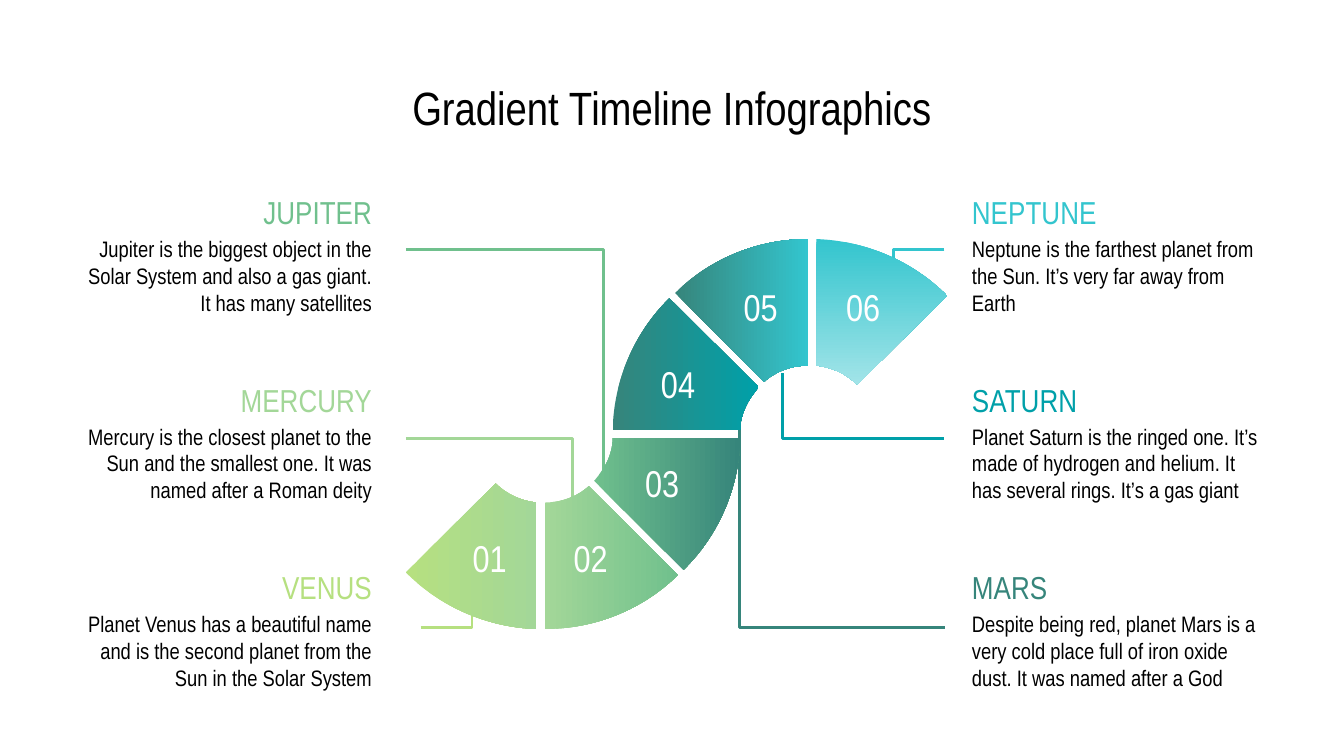
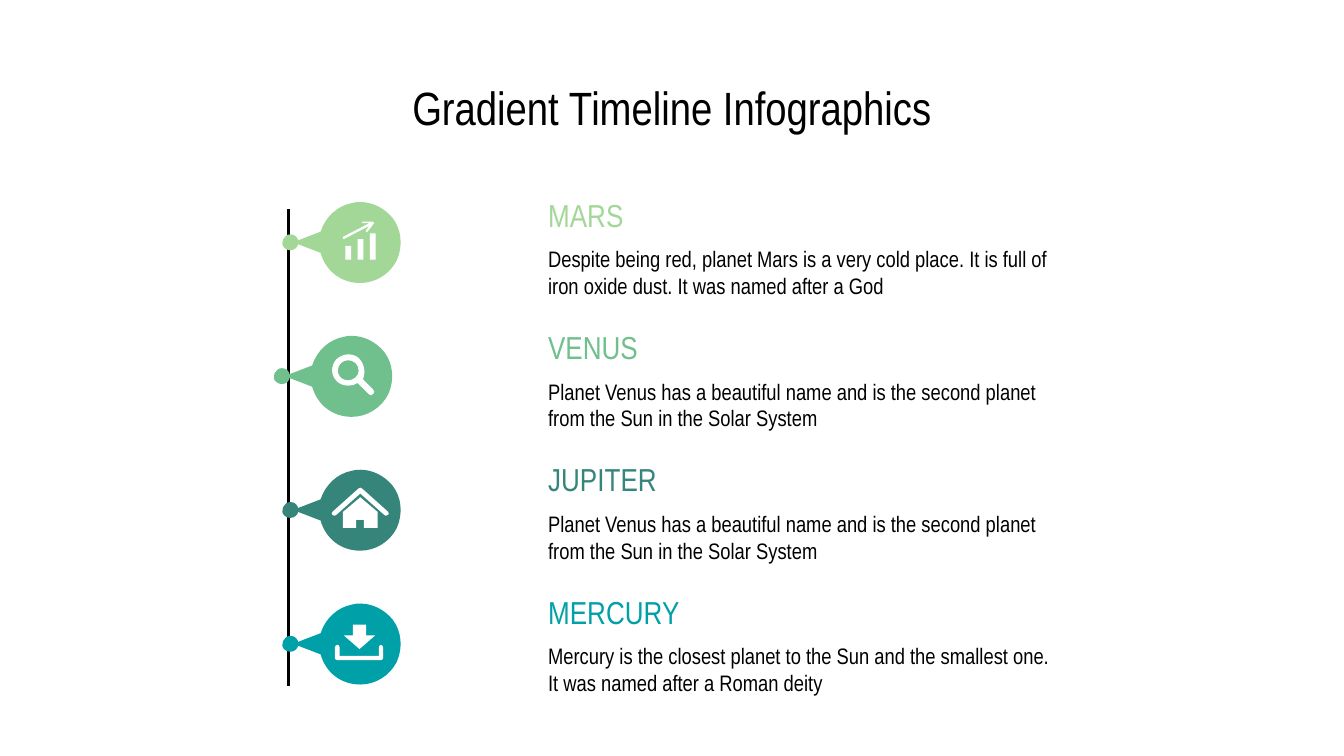
import lxml.etree
import pptx
import pptx.dml.color
import pptx.enum.shapes
import pptx.enum.text
import pptx.oxml.ns
import pptx.util

Cm = pptx.util.Cm
Pt = pptx.util.Pt
qn = pptx.oxml.ns.qn
rgb = pptx.dml.color.RGBColor.from_string
SHAPE = pptx.enum.shapes.MSO_SHAPE
CONNECTOR = pptx.enum.shapes.MSO_CONNECTOR
ALIGN = pptx.enum.text.PP_ALIGN
ANCHOR = pptx.enum.text.MSO_ANCHOR

FONT = "Arial Narrow"
BLACK, WHITE = "000000", "FFFFFF"
LIME, SAGE, GREEN = "B6E080", "A3D798", "70C08D"
PINE, TEAL, CYAN, ICE = "36857B", "00A0A9", "33C5CE", "A2E4E8"


def text(s, words, x, y, w, h, size=12, color=BLACK, align=ALIGN.LEFT, anchor=ANCHOR.TOP):
    tf = s.shapes.add_textbox(Cm(x), Cm(y), Cm(w), Cm(h)).text_frame
    tf.word_wrap = True
    tf.vertical_anchor = anchor
    tf.margin_left = tf.margin_right = tf.margin_top = tf.margin_bottom = Cm(0.25)
    p = tf.paragraphs[0]
    p.alignment = align
    r = p.add_run()
    r.text = words
    r.font.name = FONT
    r.font.size = Pt(size)
    r.font.color.rgb = rgb(color)


def outline(s, *contours, fill=None, line=None, dx=0, dy=0):
    """Draw contours in cm: pairs are corners, sixes are cubic curves. Closed when filled."""
    builder = None
    for contour in contours:
        flat = [v for step in contour for v in step]
        points = [(Cm(x + dx), Cm(y + dy)) for x, y in zip(flat[::2], flat[1::2])]
        if builder is None:
            builder = s.shapes.build_freeform(*points[0])
        else:
            builder.move_to(*points[0])
        builder.add_line_segments(points[1:], close=bool(fill))
    sp = builder.convert_to_shape()
    geometry = sp._element.spPr.xpath(".//a:path")[0]
    segments = iter(geometry.xpath("a:lnTo"))
    for contour in contours:
        for step in contour[1:]:
            curve = next(segments)
            if len(step) == 6:
                curve.tag = qn("a:cubicBezTo")
                for extra in (next(segments), next(segments)):
                    curve.append(extra[0])
                    geometry.remove(extra)
    sp.shadow.inherit = False
    if fill:
        sp.fill.solid()
        sp.fill.fore_color.rgb = rgb(fill)
    else:
        sp.fill.background()
    if line:
        sp.line.color.rgb = rgb(line)
        sp.line.width = Pt(1.5)
    else:
        sp.line.fill.background()
    return sp


prs = pptx.Presentation()
prs.slide_width = Cm(25.4)
prs.slide_height = Cm(14.29)
slides = [prs.slides.add_slide(prs.slide_layouts[6]) for _ in range(2)]
for s in slides:
    text(s, "Gradient Timeline Infographics", 1.14, 1.24, 23.11, 1.6, size=25, align=ALIGN.CENTER)
curve_slide, pin_slide = slides
connectors = []

# Curved timeline: planets with leader lines (text end x, drop x, drop y)
s = curve_slide
planets = [
    (0, 0, "JUPITER", GREEN, 7.67, 11.4, 9.22,
     "Jupiter is the biggest object in the Solar System and also a gas giant. It has many satellites"),
    (0, 1, "MERCURY", SAGE, 7.67, 10.82, 9.88,
     "Mercury is the closest planet to the Sun and the smallest one. It was named after a Roman deity"),
    (0, 2, "VENUS", LIME, 7.95, 8.92, 10.41,
     "Planet Venus has a beautiful name and is the second planet from the Sun in the Solar System"),
    (1, 0, "NEPTUNE", CYAN, 17.85, 16.88, 6.45,
     "Neptune is the farthest planet from the Sun. It’s very far away from Earth"),
    (1, 1, "SATURN", TEAL, 17.85, 14.79, 7.06,
     "Planet Saturn is the ringed one. It’s made of hydrogen and helium. It has several rings. It’s a gas giant"),
    (1, 2, "MARS", PINE, 17.86, 13.97, 7.98,
     "Despite being red, planet Mars is a very cold place full of iron oxide dust. It was named after a God"),
]
for side, row, name, color, text_x, drop_x, drop_y, body in planets:
    x, align = [(1.21, ALIGN.RIGHT), (18.12, ALIGN.LEFT)][side]
    y = 3.4 + 3.54 * row
    text(s, name, x, y, 6.07, 0.79, size=17, color=color, align=align)
    text(s, body, x, y + 0.8, 6.07, 1.73, align=align)
    line_y = 4.72 + 3.57 * row
    if name in ("SATURN", "MARS"):
        cx = s.shapes.add_connector(CONNECTOR.ELBOW, Cm(drop_x), Cm(drop_y), Cm(text_x), Cm(line_y))
        cx.line.color.rgb = rgb(color)
        guides = cx._element.spPr.xpath(".//a:avLst")[0]
        lxml.etree.SubElement(guides, qn("a:gd"), name="adj1", fmla="val 0")
        connectors.append(cx)
    else:
        outline(s, [(text_x, line_y), (drop_x, line_y), (drop_x, drop_y)], line=color)

# The upper arch is the lower one turned by half a circle
lower = [
    [(9.37, 9.14), (7.67, 10.82), (8.33, 11.48, 9.22, 11.86, 10.14, 11.89),
     (10.14, 9.5), (9.86, 9.47, 9.58, 9.35, 9.37, 9.14)],
    [(11.13, 9.19), (10.9, 9.4, 10.59, 9.5, 10.3, 9.5), (10.3, 11.89),
     (11.23, 11.89, 12.14, 11.53, 12.81, 10.87)],
    [(11.58, 8.28), (11.58, 8.59, 11.43, 8.86, 11.23, 9.09), (12.92, 10.77),
     (13.59, 10.11, 13.97, 9.22, 13.99, 8.28)],
]
turn = (25.57, 16.41)
upper = [[tuple(turn[i % 2] - v for i, v in enumerate(step)) for step in sector]
         for sector in reversed(lower)]
gradients = [(LIME, SAGE), (SAGE, GREEN), (GREEN, PINE), (PINE, TEAL), (PINE, CYAN), (CYAN, ICE)]
number_places = [(8.58, 10.11), (10.49, 10.11), (11.84, 8.69),
                 (12.14, 6.82), (13.7, 5.36), (15.64, 5.36)]
for sector, colors in zip(lower + upper, gradients):
    sp = outline(s, sector, fill=colors[0])
    sp.fill.gradient()
    sp.fill.gradient_angle = 270 if colors[1] == ICE else 0
    for i, stop in enumerate(sp.fill.gradient_stops):
        stop.position = i
        stop.color.rgb = rgb(colors[i])
for number, (x, y) in enumerate(number_places, 1):
    text(s, f"{number:02}", x, y, 1.35, 0.86, size=20, color=WHITE,
         align=ALIGN.CENTER, anchor=ANCHOR.MIDDLE)

# Vertical timeline: pins on an axis
s = pin_slide
axis = s.shapes.add_connector(CONNECTOR.STRAIGHT, Cm(5.45), Cm(3.95), Cm(5.45), Cm(12.97))
axis.line.color.rgb = rgb(BLACK)
connectors.append(axis)
pins = [
    ("MARS", SAGE, 0,
     "Despite being red, planet Mars is a very cold place. It is full of iron oxide dust. It was named after a God"),
    ("VENUS", GREEN, -0.16,
     "Planet Venus has a beautiful name and is the second planet from the Sun in the Solar System"),
    ("JUPITER", PINE, 0,
     "Planet Venus has a beautiful name and is the second planet from the Sun in the Solar System"),
    ("MERCURY", TEAL, 0,
     "Mercury is the closest planet to the Sun and the smallest one. It was named after a Roman deity"),
]
pin = [(6.81, -0.76), (6.76, -0.76, 6.7, -0.76, 6.65, -0.74), (6.38, -0.69, 6.15, -0.48, 6.06, -0.2),
       (5.54, 0), (6.06, 0.2), (6.16, 0.55, 6.45, 0.77, 6.81, 0.77),
       (7.1, 0.77, 7.37, 0.6, 7.5, 0.34), (7.62, 0.07, 7.59, -0.24, 7.42, -0.46),
       (7.26, -0.65, 7.04, -0.76, 6.81, -0.76)]
dot = [(5.49, -0.15), (5.36, -0.15, 5.28, 0.03, 5.38, 0.11), (5.41, 0.14, 5.45, 0.15, 5.49, 0.15),
       (5.57, 0.15, 5.64, 0.09, 5.64, 0), (5.64, -0.09, 5.57, -0.15, 5.49, -0.15)]
for row, (name, color, shift, body) in enumerate(pins):
    for part in (pin, dot):
        outline(s, part, fill=color, dx=shift, dy=4.58 + 2.53 * row)
    y = 3.45 + 2.5 * row
    text(s, body, 10.11, y + 0.94, 10.16, 1.42)
    text(s, name, 10.11, y, 10.16, 0.79, size=17, color=color)

# Icons: bars and download arrow, then the outlines
presets = [(SHAPE.RECTANGLE, 6.53 + 0.23 * i, top, 0.11, 4.91 - top, [])
           for i, top in enumerate((4.65, 4.52, 4.41))]
presets.append((SHAPE.DOWN_ARROW, 6.5, 11.81, 0.59, 0.46, [0.43, 0.56]))
for kind, x, y, w, h, adjustments in presets:
    sp = s.shapes.add_shape(kind, Cm(x), Cm(y), Cm(w), Cm(h))
    sp.shadow.inherit = False
    sp.fill.solid()
    sp.fill.fore_color.rgb = rgb(WHITE)
    sp.line.fill.background()
    for i, value in enumerate(adjustments):
        sp.adjustments[i] = value

trend = [(6.86, 4.19), (6.83, 4.19, 6.83, 4.22, 6.86, 4.22), (6.98, 4.22), (6.48, 4.48),
         (6.47, 4.5, 6.48, 4.52, 6.5, 4.52), (6.98, 4.27), (6.96, 4.3, 6.93, 4.33, 6.91, 4.37),
         (6.91, 4.38, 6.92, 4.39, 6.94, 4.39), (7.07, 4.22), (7.07, 4.2, 7.07, 4.19, 7.05, 4.19)]
lens = [(6.58, 6.81), (6.68, 6.81, 6.78, 6.88, 6.78, 7.01), (6.78, 7.11, 6.68, 7.19, 6.58, 7.19),
        (6.4, 7.19, 6.32, 6.99, 6.45, 6.86), (6.48, 6.83, 6.53, 6.81, 6.58, 6.81)]
magnifier = [(6.58, 6.7), (6.5, 6.7, 6.43, 6.73, 6.36, 6.79), (6.25, 6.91, 6.25, 7.09, 6.36, 7.2),
             (6.41, 7.26, 6.5, 7.29, 6.58, 7.29), (6.64, 7.29, 6.71, 7.28, 6.76, 7.24),
             (6.97, 7.45), (6.98, 7.46, 6.99, 7.47, 7, 7.47), (7.05, 7.47, 7.1, 7.41, 7.05, 7.36),
             (6.86, 7.17), (6.92, 7.02, 6.88, 6.86, 6.77, 6.76), (6.71, 6.71, 6.63, 6.7, 6.58, 6.7)]
house = [(6.81, 9.4), (6.48, 9.68), (6.48, 9.98), (6.73, 9.98), (6.73, 9.83),
         (6.88, 9.83), (6.88, 9.98), (7.14, 9.98), (7.14, 9.68)]
roof = [(6.81, 9.22), (6.79, 9.22, 6.78, 9.23, 6.77, 9.24), (6.29, 9.67),
        (6.25, 9.71, 6.27, 9.75, 6.32, 9.75), (6.33, 9.75, 6.35, 9.74, 6.36, 9.73), (6.81, 9.33),
        (7.26, 9.73), (7.27, 9.74, 7.28, 9.75, 7.29, 9.75), (7.34, 9.75, 7.37, 9.71, 7.33, 9.67),
        (6.85, 9.24), (6.84, 9.23, 6.82, 9.22, 6.81, 9.22)]
tray = [(6.38, 12.19), (6.35, 12.19, 6.33, 12.21, 6.33, 12.24), (6.33, 12.44),
        (6.33, 12.46, 6.35, 12.48, 6.38, 12.48), (7.2, 12.48), (7.22, 12.48, 7.24, 12.46, 7.24, 12.44),
        (7.24, 12.24), (7.24, 12.21, 7.22, 12.19, 7.2, 12.19), (7.18, 12.19, 7.16, 12.21, 7.16, 12.24),
        (7.16, 12.4), (6.42, 12.4), (6.42, 12.24), (6.42, 12.21, 6.4, 12.19, 6.38, 12.19)]
for icon in ([trend], [lens, magnifier], [house], [roof], [tray]):
    outline(s, *icon, fill=WHITE)

for cx in connectors:
    cx.line.width = Pt(1.5)
    lxml.etree.SubElement(cx._element.spPr, qn("a:effectLst"))

prs.save("out.pptx")
